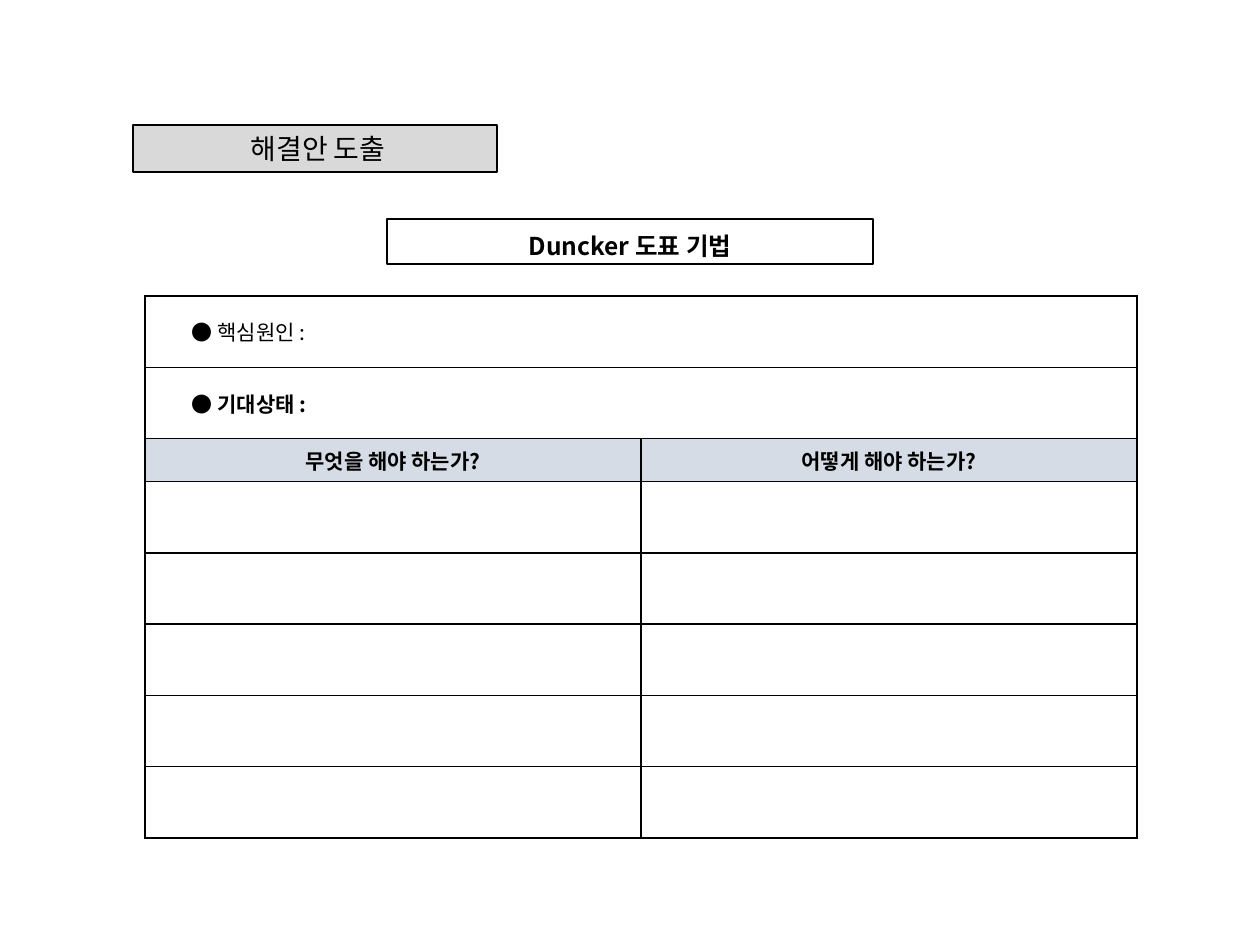
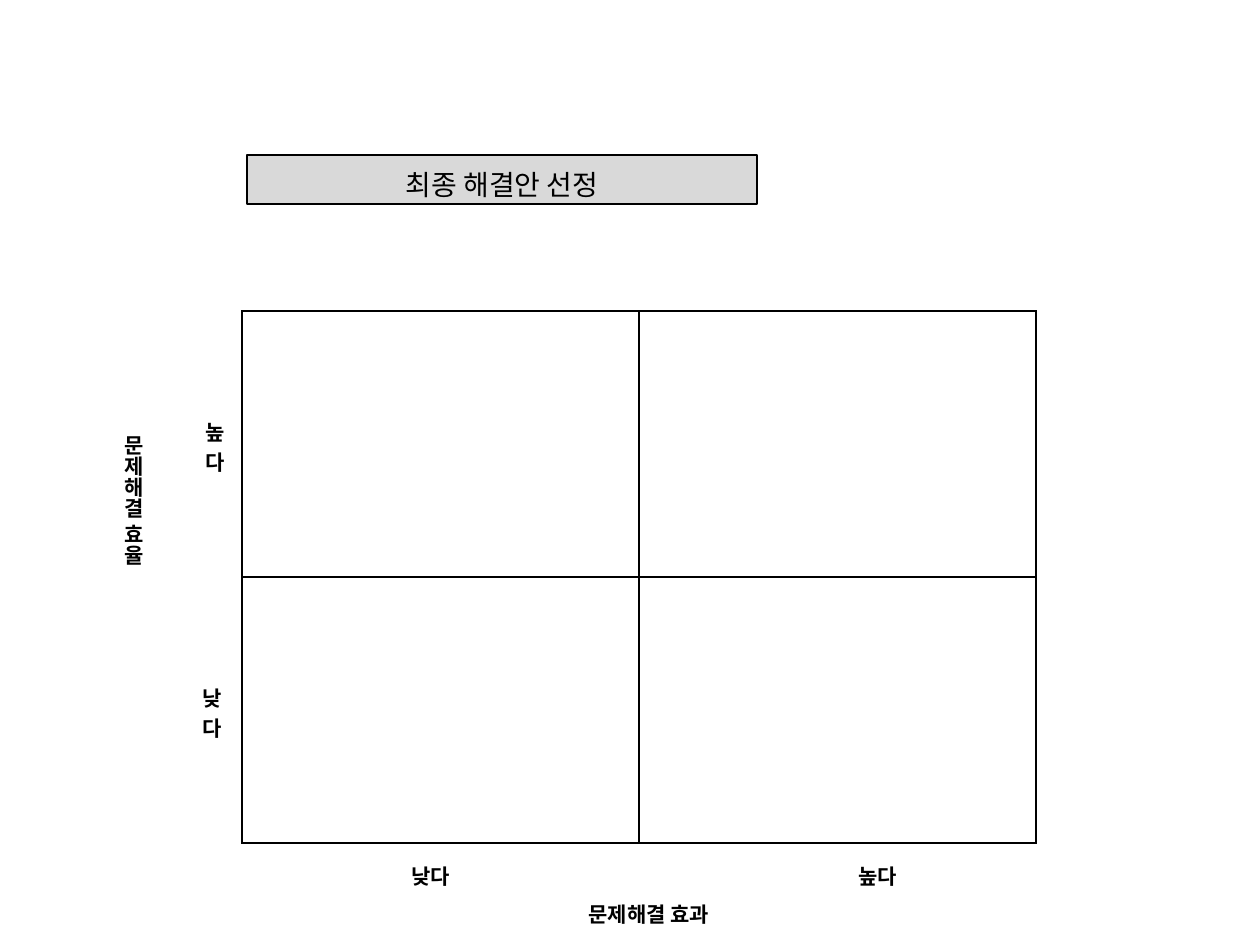
from lxml.etree import SubElement
from pptx import Presentation
from pptx.dml.color import RGBColor
from pptx.enum.shapes import MSO_SHAPE
from pptx.enum.text import MSO_ANCHOR, MSO_AUTO_SIZE, PP_ALIGN
from pptx.oxml.ns import qn
from pptx.util import Emu, Pt

PX = 914400 / 126
BLACK = RGBColor(0x00, 0x00, 0x00)
TITLE_GREY = RGBColor(0xD9, 0xD9, 0xD9)
HEADER_BLUE = RGBColor(0xD6, 0xDC, 0xE5)
TITLE_FONT = "Calibri"
BODY_FONT = "Noto Sans CJK KR"
TITLE_STYLE = {"name": TITLE_FONT, "size": Pt(16)}
HEADING_STYLE = {"name": BODY_FONT, "size": Pt(14), "bold": True}
LABEL_STYLE = {"name": BODY_FONT, "size": Pt(12), "bold": True}
PLAIN_STYLE = {**LABEL_STYLE, "bold": False}


def px(length):
    """Turn pixels into EMU."""
    return Emu(round(length * PX))


def write(frame, text, style, alignment=PP_ALIGN.CENTER, spacing=None):
    """Write one styled paragraph into a text frame."""
    paragraph = frame.paragraphs[0]
    paragraph.alignment = alignment
    paragraph.line_spacing = spacing
    run = paragraph.add_run()
    run.text = text
    for attribute, value in style.items():
        setattr(run.font, attribute, value)
    run.font.color.rgb = BLACK
    if style["name"] == BODY_FONT:
        SubElement(run.font._element, qn("a:ea"), typeface=BODY_FONT)


def fit(frame):
    """Wrap the text from the top and let the shape grow with it."""
    settings = {
        "word_wrap": True,
        "auto_size": MSO_AUTO_SIZE.SHAPE_TO_FIT_TEXT,
        "vertical_anchor": MSO_ANCHOR.TOP,
    }
    for attribute, value in settings.items():
        setattr(frame, attribute, value)


def add_box(slide, bounds, text, style, fill=None, spacing=1.2):
    """Add an outlined rectangle with centred text."""
    shape = slide.shapes.add_shape(MSO_SHAPE.RECTANGLE, *map(px, bounds))
    shape.shadow.inherit = False
    if fill is None:
        shape.fill.background()
    else:
        shape.fill.solid()
        shape.fill.fore_color.rgb = fill
    shape.line.color.rgb = BLACK
    shape.line.width = Pt(0.75)
    fit(shape.text_frame)
    write(shape.text_frame, text, style, spacing=spacing)


def add_label(slide, bounds, text, vertical=False):
    """Add a bold axis label, stacked downwards if vertical."""
    frame = slide.shapes.add_textbox(*map(px, bounds)).text_frame
    fit(frame)
    if vertical:
        frame._txBody.bodyPr.set("vert", "eaVert")
    write(frame, text, LABEL_STYLE, spacing=1.2)


def add_borders(cell):
    """Draw a thin black line on each side of a cell."""
    properties = cell._tc.get_or_add_tcPr()
    for side in ("lnL", "lnR", "lnT", "lnB"):
        line = SubElement(properties, qn(f"a:{side}"), w=str(Pt(1)))
        fill = SubElement(line, qn("a:solidFill"))
        SubElement(fill, qn("a:srgbClr"), val=str(BLACK))


def add_grid(slide, bounds, row_heights, columns=2):
    """Add a bordered, unfilled table with equal columns."""
    table = slide.shapes.add_table(len(row_heights), columns, *map(px, bounds)).table
    table.first_row = table.horz_banding = False
    for column in table.columns:
        column.width = px(bounds[2] / columns)
    for row, height in zip(table.rows, row_heights):
        row.height = px(height)
        for cell in row.cells:
            add_borders(cell)
            cell.fill.background()
            cell.vertical_anchor = MSO_ANCHOR.MIDDLE
    return table


def build_duncker(slide):
    """Build the Duncker diagram worksheet."""
    add_box(slide, (133, 125, 364, 47), " 해결안 도출", TITLE_STYLE, TITLE_GREY, None)
    add_box(slide, (387, 219, 486, 45), "Duncker 도표 기법", HEADING_STYLE)
    row_heights = [71.3] * 2 + [43] + [71.3] * 5
    table = add_grid(slide, (145, 296, 992, 542), row_heights)
    statements = (("● 핵심원인 :", PLAIN_STYLE), ("● 기대상태 :", LABEL_STYLE))
    for row, (text, style) in enumerate(statements):
        cell = table.cell(row, 0)
        cell.merge(table.cell(row, 1))
        cell.margin_left = px(47)
        write(cell.text_frame, text, style, PP_ALIGN.LEFT)
    for column, text in enumerate(("무엇을 해야 하는가?", "어떻게 해야 하는가?")):
        cell = table.cell(2, column)
        cell.fill.solid()
        cell.fill.fore_color.rgb = HEADER_BLUE
        write(cell.text_frame, text, LABEL_STYLE)


def build_selection(slide):
    """Build the effect and efficiency matrix."""
    add_grid(slide, (242, 311, 794, 532), [266] * 2)
    add_box(slide, (247, 155, 510, 49), "최종 해결안 선정", TITLE_STYLE, TITLE_GREY)
    add_label(slide, (530, 890, 238, 40), "문제해결 효과")
    add_label(slide, (102, 423, 55, 255), "문제해결 효율", vertical=True)
    levels = (
        ("낮다", (183, 674, 59, 71), (372, 852, 118, 40)),
        ("높다", (186, 408, 59, 71), (819, 852, 118, 40)),
    )
    for text, *places in levels:
        for bounds in places:
            add_label(slide, bounds, text)


def main():
    """Build and save the presentation."""
    presentation = Presentation()
    presentation.slide_width = px(1260)
    presentation.slide_height = px(945)
    for build in (build_duncker, build_selection):
        build(presentation.slides.add_slide(presentation.slide_layouts[6]))
    presentation.save("out.pptx")


if __name__ == "__main__":
    main()
